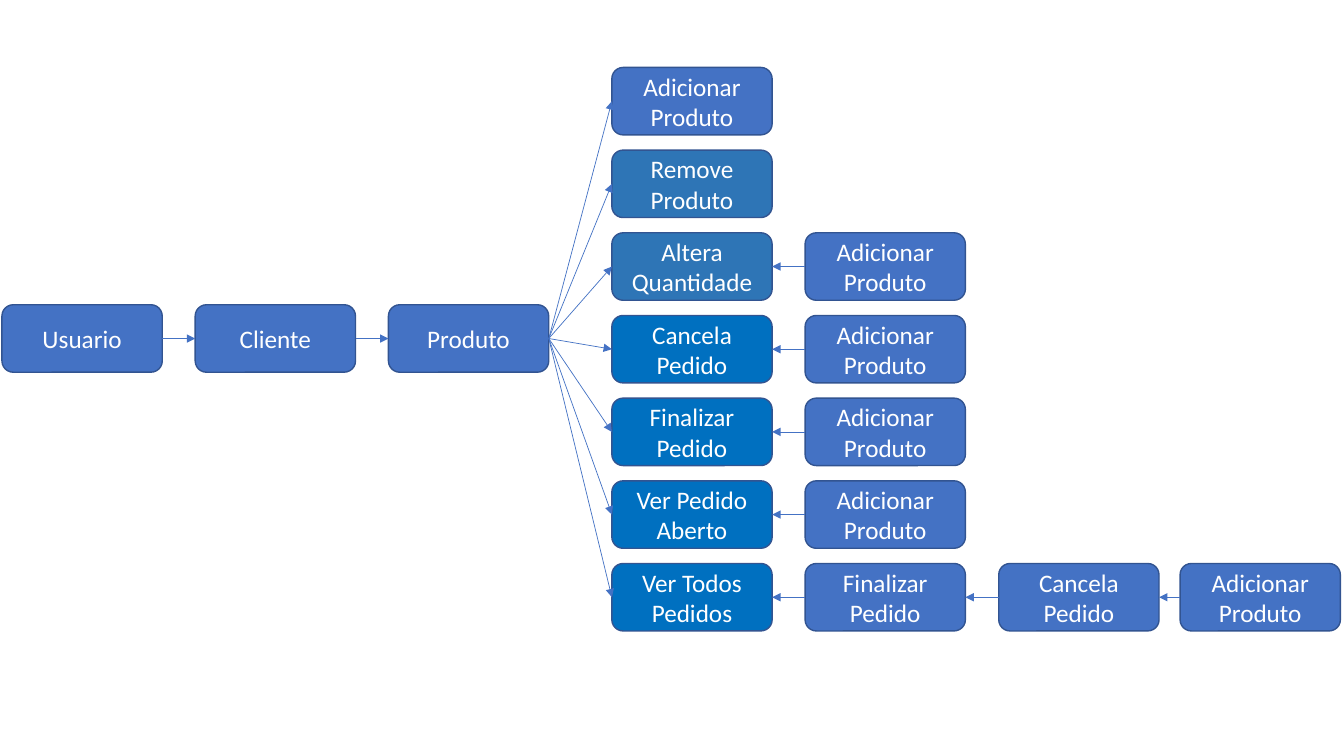
"""Build a flow diagram of user, client, product and order actions."""
from dataclasses import dataclass
from lxml import etree
from pptx import Presentation, util as u
from pptx.dml.color import RGBColor
from pptx.enum import shapes, text
from pptx.oxml.ns import qn

MAIN = ["Usuario", "Cliente", "Produto"]
ROWS = [
    ("base", ["Adicionar Produto"]),
    ("steel", ["Remove Produto"]),
    ("steel", ["Altera\nQuantidade", "Adicionar Produto"]),
    ("deep", ["Cancela Pedido", "Adicionar Produto"]),
    ("deep", ["Finalizar Pedido", "Adicionar Produto"]),
    ("deep", ["Ver Pedido Aberto", "Adicionar Produto"]),
    ("deep", ["Ver Todos Pedidos", "Finalizar Pedido", "Cancela Pedido", "Adicionar Produto"]),
]


@dataclass(frozen=True)
class Theme:
    base: str = "4472C4"
    steel: str = "2E75B6"
    deep: str = "0070C0"
    edge: str = "325491"
    ink: str = "FFFFFF"
    font: str = "Calibri"
    size: int = 18
    rim: float = 1
    thin: float = 0.5


T = Theme()
WIDE, HIGH = 4.04, 1.7
MAIN_X, MAIN_Y, STEP = 0.05, 7.68, 4.87
ROW_X = [15.42, 20.29, 25.17, 29.74]
TOP, LAST = 1.7, 14.2
PITCH = (LAST - TOP) / (len(ROWS) - 1)
LEFT, RIGHT = 1, 3

deck = Presentation()
deck.slide_width, deck.slide_height = u.Cm(33.87), u.Cm(19.05)
slide = deck.slides.add_slide(deck.slide_layouts[6])


def write(frame, words, size=T.size, color=T.ink, font=T.font):
    frame.word_wrap = True
    frame.vertical_anchor = text.MSO_ANCHOR.MIDDLE
    frame.text = words
    for para in frame.paragraphs:
        para.alignment = text.PP_ALIGN.CENTER
        para.font.size, para.font.name = u.Pt(size), font
        para.font.color.rgb = RGBColor.from_string(color)


def box(words, x, y, fill=T.base):
    shape = slide.shapes.add_shape(
        shapes.MSO_SHAPE.ROUNDED_RECTANGLE, u.Cm(x), u.Cm(y), u.Cm(WIDE), u.Cm(HIGH))
    shape.shadow.inherit = False
    shape.fill.solid()
    shape.fill.fore_color.rgb = RGBColor.from_string(fill)
    shape.line.color.rgb = RGBColor.from_string(T.edge)
    shape.line.width = u.Pt(T.rim)
    write(shape.text_frame, words)
    return shape


def arrow(start, end, out=RIGHT, into=LEFT):
    link = slide.shapes.add_connector(shapes.MSO_CONNECTOR.STRAIGHT, 0, 0, 0, 0)
    link.begin_connect(start, out)
    link.end_connect(end, into)
    link.line.color.rgb = RGBColor.from_string(T.base)
    link.line.width = u.Pt(T.thin)
    etree.SubElement(link.line._get_or_add_ln(), qn("a:tailEnd"), type="triangle")
    etree.SubElement(link._element.spPr, qn("a:effectLst"))


chain = [box(name, MAIN_X + i * STEP, MAIN_Y) for i, name in enumerate(MAIN)]
grid = []
for i, (tone, names) in enumerate(ROWS):
    fills = [getattr(T, tone)] + [T.base] * (len(names) - 1)
    grid.append([box(name, x, TOP + i * PITCH, fill)
                 for name, x, fill in zip(names, ROW_X, fills)])

for start, end in zip(chain, chain[1:]):
    arrow(start, end)
for row in grid:
    arrow(chain[-1], row[0])
    for end, start in zip(row, row[1:]):
        arrow(start, end, out=LEFT, into=RIGHT)

deck.save("out.pptx")
